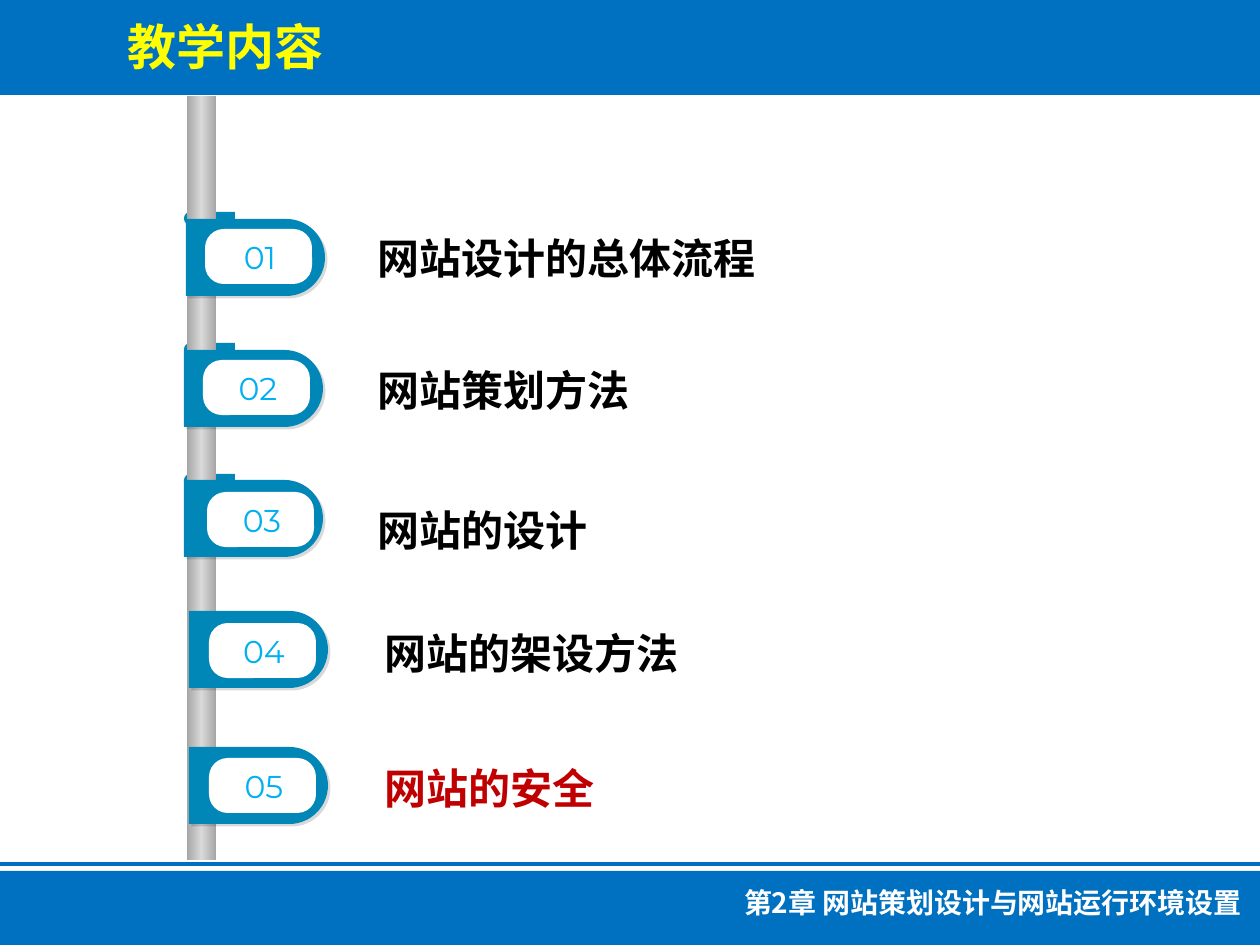
from copy import deepcopy

from lxml import etree
from pptx import Presentation
from pptx import util as u
from pptx.dml.color import RGBColor
from pptx.enum import shapes, text
from pptx.oxml.ns import qn

PX = 914400 / 126
ARC = 0.55
BLUE = RGBColor(0x00, 0x70, 0xC0)
TEAL = RGBColor(0x01, 0x87, 0xB7)
SKY = RGBColor(0x00, 0xB0, 0xF0)
YELLOW = RGBColor(0xFF, 0xFF, 0x00)
RED = RGBColor(0xC0, 0x00, 0x00)
BLACK = RGBColor(0x00, 0x00, 0x00)
WHITE = RGBColor(0xFF, 0xFF, 0xFF)
GREY = RGBColor(0xA6, 0xA6, 0xA6)
LIGHT_GREY = RGBColor(0xD9, 0xD9, 0xD9)
CJK = "Noto Sans CJK SC"

TAB_TOPS = (212, 343, 474)
ITEMS = (
    ("网站设计的总体流程", BLACK, (186, 219), (205, 229), (365, 211)),
    ("网站策划方法", BLACK, (184, 350), (203, 360), (365, 343)),
    ("网站的设计", BLACK, (184, 480), (207, 492), (365, 483)),
    ("网站的架设方法", BLACK, (189, 611), (209, 623), (372, 606)),
    ("网站的安全", RED, (189, 747), (209, 758), (372, 741)),
)


def emu(*lengths):
    return [round(length * PX) for length in lengths]


class Deck:
    def __init__(self, width, height):
        self.presentation = Presentation()
        self.presentation.slide_width, self.presentation.slide_height = emu(width, height)
        self.slide = self.presentation.slides.add_slide(self.presentation.slide_layouts[6])

    def paint(self, shape, color):
        shape.shadow.inherit = False
        shape.fill.solid()
        shape.fill.fore_color.rgb = color
        shape.line.fill.background()
        return shape

    def box(self, left, top, width, height, color, rounding=None):
        kind = shapes.MSO_SHAPE.ROUNDED_RECTANGLE if rounding else shapes.MSO_SHAPE.RECTANGLE
        shape = self.slide.shapes.add_shape(kind, *emu(left, top, width, height))
        if rounding:
            shape.adjustments[0] = rounding
        return self.paint(shape, color)

    def pole(self, left, top, width, height):
        shape = self.box(left, top, width, height, GREY)
        shape.fill.gradient()
        shape.fill.gradient_angle = 0
        stop_list = next(shape._element.spPr.iter(qn("a:gs"))).getparent()
        stop_list.insert(1, deepcopy(stop_list[0]))
        colors = (GREY, LIGHT_GREY, GREY)
        for index, stop in enumerate(shape.fill.gradient_stops):
            stop.position = index / 2
            stop.color.rgb = colors[index]

    def tongue(self, left, top, width, height, round_left=False):
        radius = height / 2
        pull = radius * (1 - ARC)
        shoulder = width - radius
        outline = [(shoulder, 0), (width, radius), (shoulder, height), (0, height), (0, 0)]
        controls = [[(width - pull, 0), (width, pull)],
                    [(width, height - pull), (width - pull, height)]]

        def turn(points):
            return [emu(width - x if round_left else x, y) for x, y in points]

        corners = turn(outline)
        builder = self.slide.shapes.build_freeform(*corners[0])
        builder.add_line_segments(corners[1:])
        shape = builder.convert_to_shape(*emu(left, top))
        lines = list(shape._element.iter(qn("a:lnTo")))
        for line, pair in zip(lines, controls):
            line.tag = qn("a:cubicBezTo")
            for position, (x, y) in enumerate(turn(pair)):
                point = etree.Element(qn("a:pt"), x=str(x), y=str(y))
                line.insert(position, point)
        return self.paint(shape, TEAL)

    def flag(self, left, top):
        shape = self.tongue(left, top, 139, 77)
        effects = shape._element.spPr.find(qn("a:effectLst"))
        shadow = etree.SubElement(effects, qn("a:outerShdw"), dist=str(u.Pt(2)),
                                  dir="2700000", algn="tl", rotWithShape="0")
        color = etree.SubElement(shadow, qn("a:srgbClr"), val="000000")
        etree.SubElement(color, qn("a:alpha"), val="15000")

    def rule(self, left, top, right, color, weight):
        line = self.slide.shapes.add_connector(
            shapes.MSO_CONNECTOR.STRAIGHT, *emu(left, top, right, top))
        line.line.color.rgb = color
        line.line.width = u.Pt(weight)
        etree.SubElement(line._element.spPr, qn("a:effectLst"))

    def label(self, left, top, width, height, wording, size, color, face=CJK,
              bold=True, align=text.PP_ALIGN.LEFT, spacing=None, tight=False):
        shape = self.slide.shapes.add_textbox(*emu(left, top, width, height))
        frame = shape.text_frame
        frame.word_wrap = True
        if tight:
            frame.margin_left = frame.margin_right = 0
            frame.margin_top = frame.margin_bottom = 0
            frame.vertical_anchor = text.MSO_ANCHOR.MIDDLE
        else:
            frame.auto_size = text.MSO_AUTO_SIZE.SHAPE_TO_FIT_TEXT
        frame.text = wording
        paragraph = frame.paragraphs[0]
        paragraph.alignment = align
        if spacing:
            paragraph.line_spacing = spacing
        run = paragraph.runs[0]
        run.font.size = u.Pt(size)
        run.font.bold = bold
        run.font.color.rgb = color
        run.font.name = face
        etree.SubElement(run.font._element, qn("a:ea"), typeface=CJK)


def main():
    deck = Deck(1260, 945)
    deck.box(0, 0, 1260, 95, BLUE)
    deck.rule(0, 864, 1260, BLUE, 2)
    deck.box(0, 871, 1260, 78, BLUE)
    deck.label(115, 10, 571, 72, "教学内容", 28, YELLOW)

    for top in TAB_TOPS:
        deck.tongue(184, top, 51, 13, round_left=True)
    deck.pole(187, 96, 29, 764)

    for number, (title, color, flag, badge, caption) in enumerate(ITEMS, 1):
        deck.flag(*flag)
        deck.label(*caption, 616, 78, title, 24, color, face="Arial",
                   align=text.PP_ALIGN.JUSTIFY, spacing=1.3)
        deck.box(*badge, 107, 55, WHITE, rounding=0.34)
        deck.label(badge[0] + 13, badge[1] + 8, 84, 40, f"{number:02d}", 18, SKY,
                   face="Montserrat", bold=False, align=text.PP_ALIGN.CENTER, tight=True)

    deck.label(667, 879, 587, 47, "第2章 网站策划设计与网站运行环境设置", 16, WHITE,
               align=text.PP_ALIGN.RIGHT)
    deck.presentation.save("out.pptx")


if __name__ == "__main__":
    main()
